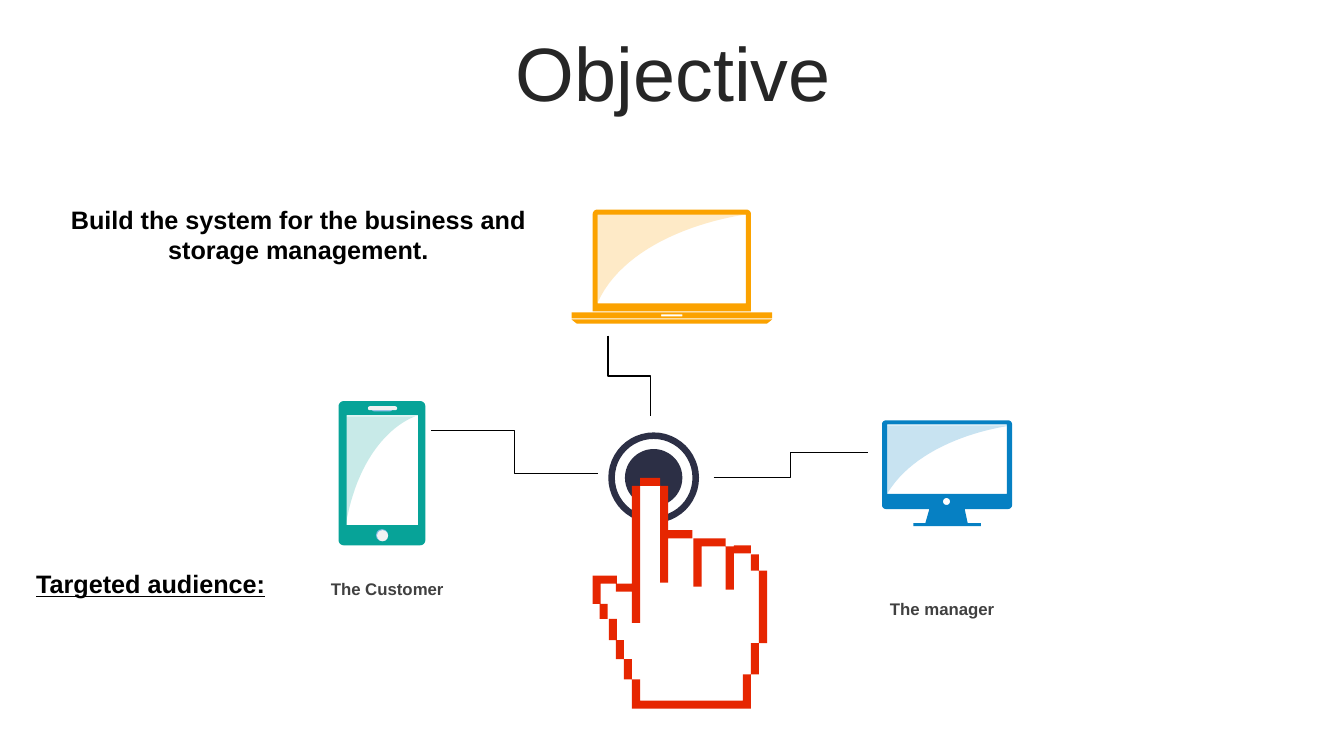
from dataclasses import dataclass
from math import cos, pi, sin

from lxml.etree import SubElement
from pptx import Presentation
from pptx.dml.color import RGBColor
from pptx.enum.shapes import MSO_CONNECTOR as Link, MSO_SHAPE as Preset
from pptx.enum.text import MSO_ANCHOR as Anchor, MSO_AUTO_SIZE as AutoSize, PP_ALIGN as Align
from pptx.oxml.ns import qn
from pptx.util import Inches, Pt


@dataclass(frozen=True)
class Theme:
    font: str = "Arial"
    title: str = "262626"
    label: str = "404040"
    ink: str = "000000"
    paper: str = "FFFFFF"
    button: str = "2C2F45"
    hand: str = "E62601"
    phone: str = "07A398"
    laptop: str = "FBA200"
    monitor: str = "0680C3"
    trim: str = "87BCE6"
    light: str = "F2F2F2"
    title_size: int = 54
    lead_size: int = 18
    label_size: int = 12
    glare_alpha: int = 22000


THEME = Theme()
COLUMNS, ROWS = 133.33, 75
CELL = Inches(0.1)

HAND_FILL = [
    (63.5, 48.2), (65.5, 48.2), (65.5, 57.8), (66.3, 57.8), (66.3, 53.4), (68.8, 53.4),
    (68.8, 57.8), (69.5, 57.8), (69.5, 54), (72, 54), (72, 57.8), (72.1, 57.8),
    (72.1, 54.8), (74.5, 54.8), (74.5, 56.6), (75.9, 56.6), (75.9, 63.8), (74.5, 63.8),
    (74.5, 66.9), (74.1, 66.9), (74.1, 69.7), (63.2, 69.7), (63.2, 67.3), (62.7, 67.3),
    (62.7, 65.4), (61.7, 65.4), (61.7, 63.4), (60.7, 63.4), (60.7, 61.4), (59.9, 61.4),
    (59.9, 59.9), (58.9, 59.9), (58.9, 57.9), (61.4, 57.9), (61.4, 58), (62.4, 58),
    (62.4, 58.2), (63.2, 58.2), (63.2, 57.8), (63.5, 57.8),
]
HAND_STROKES = [
    (63.5, 47.4, 65.5, 48.2), (62.7, 48.2, 63.5, 61.8), (61.1, 57.9, 62.7, 58.7),
    (58.8, 57.1, 61.2, 57.9), (58.8, 57.9, 59.6, 59.9), (59.5, 59.9, 60.3, 61.4),
    (60.4, 61.4, 61.2, 63.5), (61.1, 63.5, 61.9, 65.4), (61.9, 65.4, 62.7, 67.4),
    (62.7, 67.4, 63.5, 70.3), (63.5, 69.5, 74.5, 70.3), (73.7, 66.9, 74.5, 69.5),
    (74.5, 63.8, 75.3, 66.9), (75.3, 56.6, 76.1, 63.8), (74.5, 55, 75.3, 56.6),
    (72.8, 54.1, 74.5, 54.9), (72, 54.2, 72.8, 58.5), (69.6, 53.4, 72, 54.2),
    (68.8, 53.4, 69.6, 58.2), (66.3, 52.6, 68.7, 53.4), (65.5, 48.2, 66.3, 57.8),
]


def grid(*cells):
    return [round(cell * CELL) for cell in cells]


def rectangle(left, top, right, bottom):
    return [(left, top), (right, top), (right, bottom), (left, bottom)]


def arc(x, y, radius, start=0, sweep=2 * pi, steps=48):
    angles = [start + sweep * step / steps for step in range(steps + 1)]
    return [(x + radius * cos(angle), y + radius * sin(angle)) for angle in angles]


def rounded(left, top, right, bottom, radius):
    corners = rectangle(left + radius, top + radius, right - radius, bottom - radius)
    return [point for quarter, (x, y) in enumerate(corners)
            for point in arc(x, y, radius, pi + quarter * pi / 2, pi / 2, 8)]


def bezier(points, steps=24):
    weights = [((1 - t) ** 3, 3 * t * (1 - t) ** 2, 3 * t * t * (1 - t), t ** 3)
               for t in (step / steps for step in range(steps + 1))]
    return [tuple(sum(w * point[axis] for w, point in zip(weight, points)) for axis in (0, 1))
            for weight in weights]


def paint(shape, color):
    shape.shadow.inherit = False
    shape.fill.solid()
    shape.fill.fore_color.rgb = RGBColor.from_string(color)
    shape.line.fill.background()


def add_outline(page, color, *contours):
    first, *others = [[grid(*point) for point in contour] for contour in contours]
    builder = page.shapes.build_freeform(*first[0], scale=1.0)
    builder.add_line_segments(first[1:], close=True)
    for contour in others:
        builder.move_to(*contour[0])
        builder.add_line_segments(contour[1:], close=True)
    shape = builder.convert_to_shape()
    paint(shape, color)
    return shape


def add_glare(page, color, corner, bottom, right, bend_near, bend_far):
    left, top = corner
    curve = bezier([(left, bottom), bend_near, bend_far, (right, top)])
    shape = add_outline(page, color, [corner] + curve)
    tint = shape.fill._xPr.find(qn("a:solidFill"))[0]
    SubElement(tint, qn("a:alpha")).set("val", str(THEME.glare_alpha))


def add_preset(page, preset, color, *place):
    shape = page.shapes.add_shape(preset, *grid(*place))
    paint(shape, color)
    if preset == Preset.ROUNDED_RECTANGLE:
        shape.adjustments[0] = 0.5


def add_elbow(page, start, end, turn=0):
    link = page.shapes.add_connector(Link.ELBOW, *grid(*start, *end))
    link.line.color.rgb = RGBColor.from_string(THEME.ink)
    link.line.width = Pt(1)
    properties = link._element.spPr
    SubElement(properties, qn("a:effectLst"))
    if turn:
        properties.xfrm.rot = turn


def add_text(page, text, place, size, color, align=Align.LEFT, bold=True, underline=None):
    box = page.shapes.add_textbox(*grid(*place))
    frame = box.text_frame
    frame.word_wrap = True
    frame.vertical_anchor = Anchor.MIDDLE
    frame.text = text
    para = frame.paragraphs[0]
    para.alignment = align
    font = para.runs[0].font
    font.name, font.size, font.bold, font.underline = THEME.font, Pt(size), bold, underline
    font.color.rgb = RGBColor.from_string(color)
    return box


def add_label(page, *args, **kwargs):
    add_text(page, *args, **kwargs).text_frame.auto_size = AutoSize.SHAPE_TO_FIT_TEXT


def add_title(page):
    box = add_text(page, "Objective", (3.5, 3.7, 126.6, 7.9), THEME.title_size, THEME.title,
                   Align.CENTER, bold=False)
    para = box.text_frame.paragraphs[0]
    para.line_spacing = 0.9
    para.space_before = Pt(10)


def add_button(page):
    add_outline(page, THEME.button, *[arc(64.85, 47.4, radius) for radius in (2.85, 3.85, 4.5)])


def add_hand(page):
    add_outline(page, THEME.paper, HAND_FILL)
    add_outline(page, THEME.hand, *[rectangle(*stroke) for stroke in HAND_STROKES])


def add_phone(page):
    add_outline(page, THEME.phone, rounded(33.6, 39.8, 42.2, 54.1, 0.5),
                rectangle(34.4, 41.2, 41.5, 52.1))
    add_preset(page, Preset.ROUNDED_RECTANGLE, THEME.trim, 36.9, 40.4, 2, 0.4)
    add_preset(page, Preset.OVAL, THEME.trim, 37.3, 52.5, 1.2, 1.2)
    add_glare(page, THEME.phone, (34.3, 41.3), 52.1, 41.2, (35.4, 45.6), (38.6, 42.3))
    add_preset(page, Preset.ROUNDED_RECTANGLE, THEME.light, 36.5, 40.3, 2.9, 0.4)
    add_preset(page, Preset.OVAL, THEME.light, 37.4, 52.6, 1.1, 1.1)


def add_laptop(page):
    add_outline(page, THEME.laptop, [(56.7, 31.7), (76.6, 31.7), (76.1, 32.1), (57.2, 32.1)],
                rectangle(65.6, 31.2, 67.7, 31.4), rectangle(56.7, 31, 76.6, 31.6),
                rectangle(59.3, 21.3, 74, 30.1),
                rounded(58.8, 20.8, 74.5, 25, 0.45)[:18] + [(74.5, 30.9), (58.8, 30.9)])
    add_glare(page, THEME.laptop, (59.3, 21.2), 30, 74.5, (61.7, 24.7), (68.7, 22))


def add_monitor(page):
    add_outline(page, THEME.monitor, rounded(87.5, 41.7, 100.4, 50.5, 0.4),
                rectangle(88, 42.1, 99.9, 49), arc(93.9, 49.75, 0.35),
                [(92.2, 50.5), (95.7, 50.5), (96, 51.9), (97.3, 51.9),
                 (97.3, 52.2), (90.6, 52.2), (90.6, 51.9), (91.8, 51.9)])
    add_glare(page, THEME.monitor, (87.5, 42.2), 50, 100.4, (89.5, 45.3), (95.5, 42.9))


def main():
    deck = Presentation()
    deck.slide_width, deck.slide_height = grid(COLUMNS, ROWS)
    page = deck.slides.add_slide(deck.slide_layouts[6])
    add_button(page)
    add_title(page)
    add_hand(page)
    add_phone(page)
    add_laptop(page)
    add_monitor(page)
    add_elbow(page, (42.8, 42.7), (59.3, 47))
    add_elbow(page, (66.4, 35.2), (58.4, 39.4), turn=270)
    add_elbow(page, (70.8, 47.4), (86.1, 44.9))
    add_label(page, "The manager", (87.3, 58.9, 30.8, 3), THEME.label_size, THEME.label)
    add_label(page, "The Customer", (14.2, 56.9, 30.8, 3), THEME.label_size, THEME.label,
              Align.RIGHT)
    add_label(page, "Targeted audience:", (2.6, 55.9, 27.1, 4), THEME.lead_size, THEME.ink,
              underline=True)
    add_label(page, "Build the system for the business and storage management.",
              (3.5, 19.7, 52.2, 7.1), THEME.lead_size, THEME.ink, Align.CENTER)
    deck.save("out.pptx")


if __name__ == "__main__":
    main()
